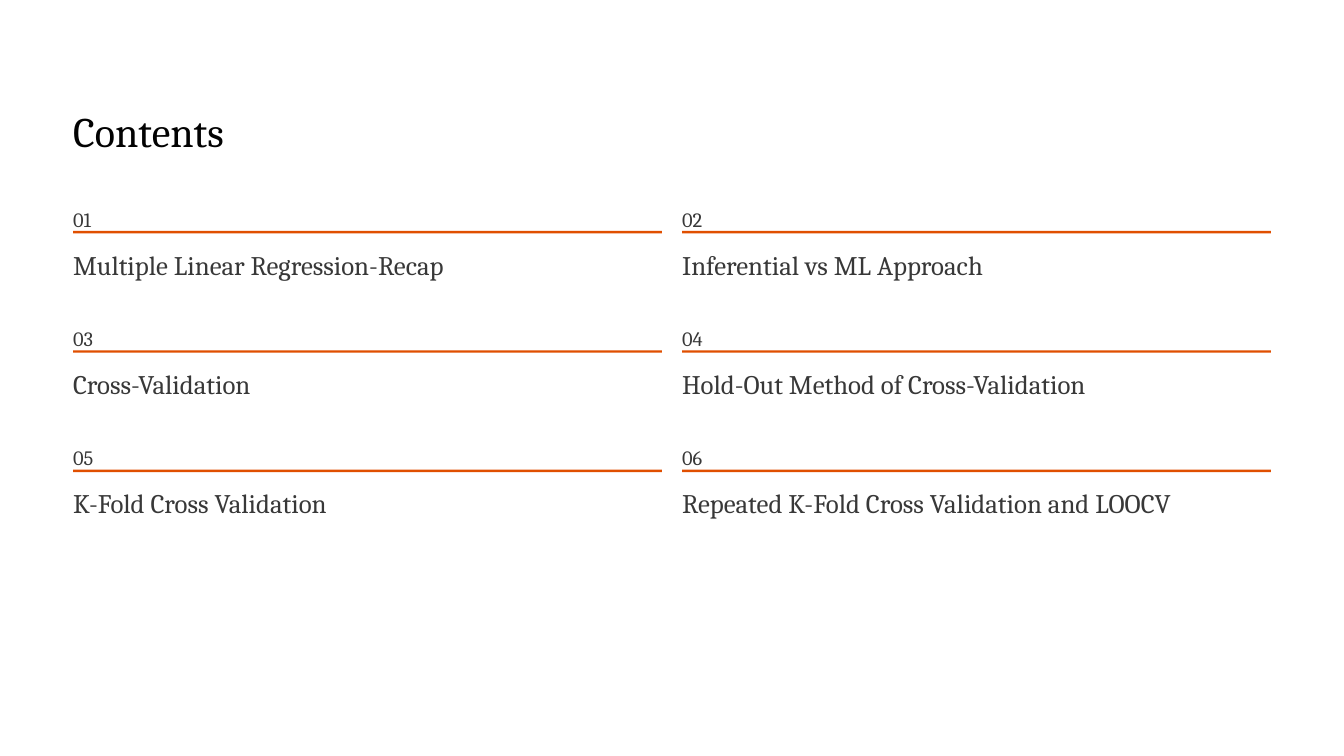
from pptx import Presentation
from pptx.dml.color import RGBColor
from pptx.enum.shapes import MSO_SHAPE
from pptx.enum.text import MSO_ANCHOR, PP_ALIGN
from pptx.util import Inches, Pt

RECTANGLE = MSO_SHAPE.RECTANGLE
TOP = MSO_ANCHOR.TOP
LEFT = PP_ALIGN.LEFT
TITLE_ONLY = 5

FONT = "Cambria"
BLACK, GREY, ORANGE, WHITE = "020202", "383838", "E04F00", "FFFFFF"

TOPICS = [
    "Multiple Linear Regression-Recap",
    "Inferential vs ML Approach",
    "Cross-Validation",
    "Hold-Out Method of Cross-Validation",
    "K-Fold Cross Validation",
    "Repeated K-Fold Cross Validation and LOOCV",
]
COLUMNS = 2
GRID_LEFT, GRID_TOP = 0.87, 2.36
COLUMN_STEP, ROW_STEP = 7.25, 1.42
RULE_WIDTH = 7.01


def color(hex_value):
    """Return the colour for a hex string."""
    return RGBColor.from_string(hex_value)


def write_line(frame, text, size, spacing, hex_value):
    """Put one line of formatted text into a frame without margins."""
    frame.margin_left = frame.margin_right = 0
    frame.margin_top = frame.margin_bottom = 0
    frame.word_wrap = False
    frame.vertical_anchor = TOP
    paragraph = frame.paragraphs[0]
    paragraph.alignment = LEFT
    paragraph.line_spacing = Pt(spacing)
    run = paragraph.add_run()
    run.text = text
    run.font.name = FONT
    run.font.size = Pt(size)
    run.font.color.rgb = color(hex_value)


def set_title(slide, text):
    """Move and fill the title placeholder."""
    title = slide.shapes.title
    title.left, title.top = Inches(GRID_LEFT), Inches(1.21)
    title.width, title.height = Inches(5.21), Inches(0.65)
    write_line(title.text_frame, text, 36, 46.5, BLACK)


def add_label(slide, left, top, width, height, text, size, spacing):
    """Add a grey text label."""
    label = slide.shapes.add_textbox(
        Inches(left), Inches(top), Inches(width), Inches(height))
    write_line(label.text_frame, text, size, spacing, GREY)


def add_rule(slide, left, top):
    """Add the orange bar between a number and its topic."""
    rule = slide.shapes.add_shape(
        RECTANGLE, Inches(left), Inches(top), Inches(RULE_WIDTH), Inches(0.03))
    rule.shadow.inherit = False
    rule.fill.solid()
    rule.fill.fore_color.rgb = color(ORANGE)
    rule.line.fill.background()


def add_entry(slide, index, topic):
    """Add one numbered topic at its place in the grid."""
    row, column = divmod(index, COLUMNS)
    left = GRID_LEFT + column * COLUMN_STEP
    top = GRID_TOP + row * ROW_STEP
    add_label(slide, left, top, 0.25, 0.31, f"{index + 1:02d}", 17.5, 28.5)
    add_rule(slide, left, top + 0.39)
    add_label(slide, left, top + 0.58, 6.04, 0.45, topic, 23, 29)


def main():
    """Build the contents slide."""
    deck = Presentation()
    deck.slide_width, deck.slide_height = Inches(16), Inches(9)
    slide = deck.slides.add_slide(deck.slide_layouts[TITLE_ONLY])
    slide.background.fill.solid()
    slide.background.fill.fore_color.rgb = color(WHITE)
    set_title(slide, "Contents")
    for index, topic in enumerate(TOPICS):
        add_entry(slide, index, topic)
    deck.save("out.pptx")


if __name__ == "__main__":
    main()
